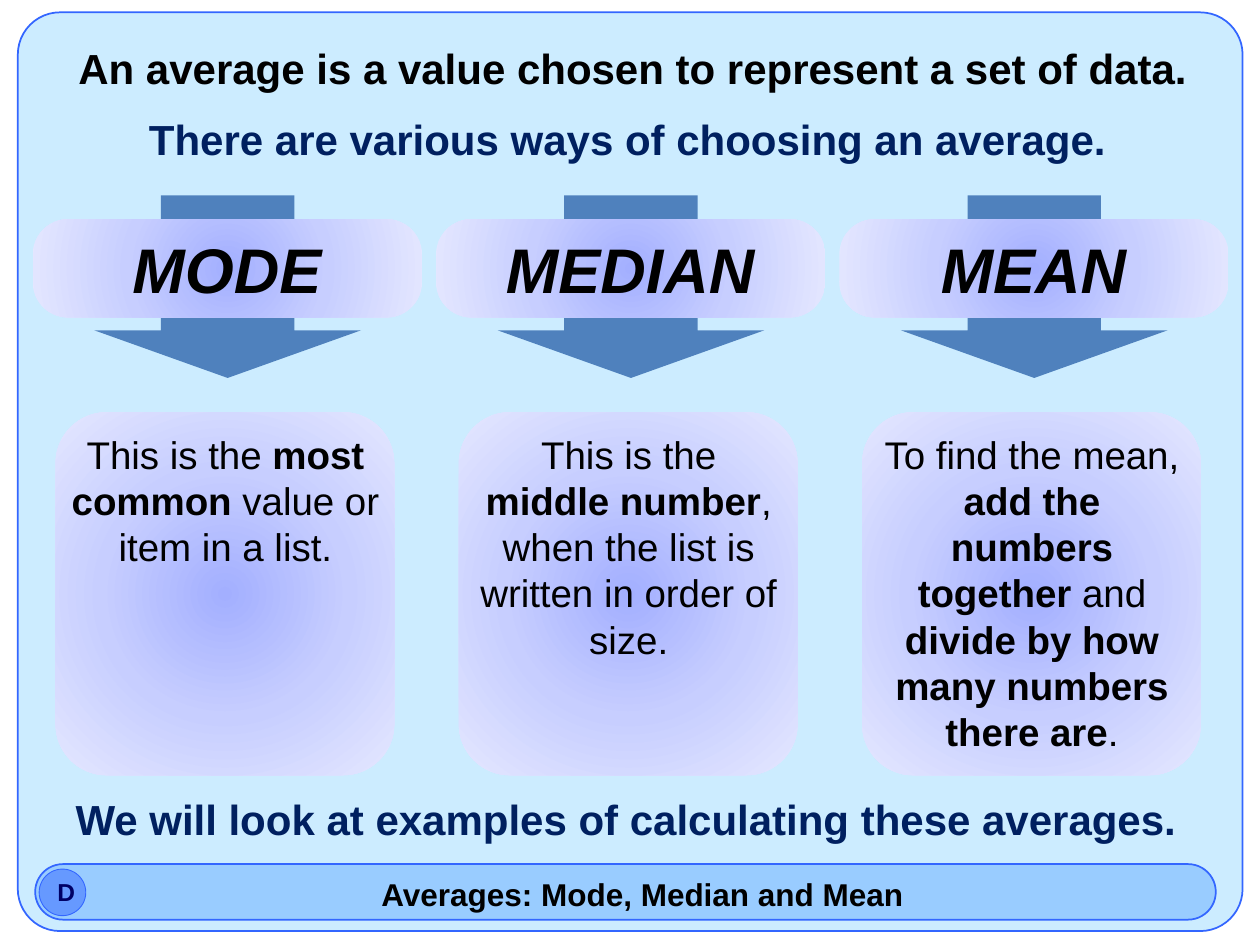
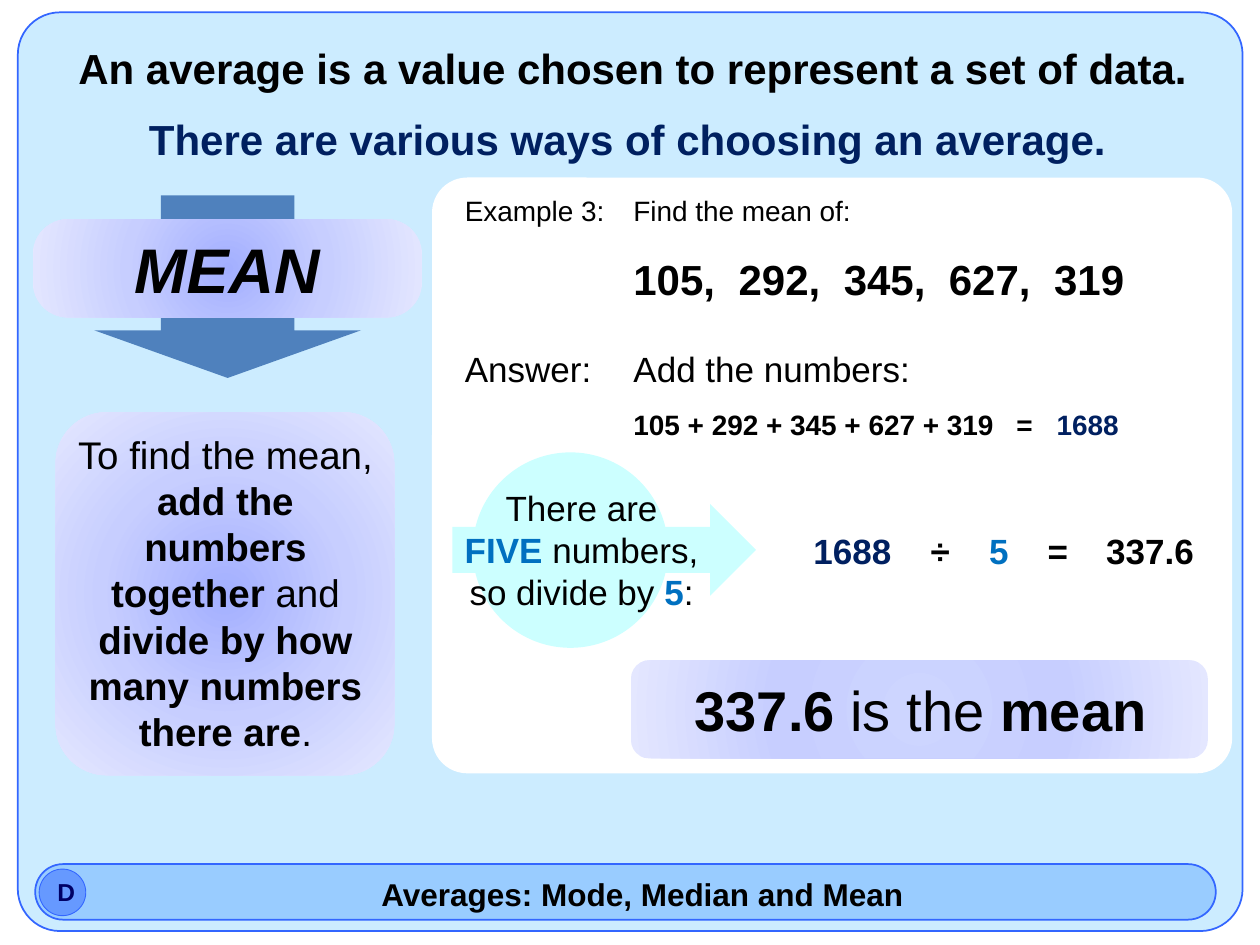
from lxml import etree
from pptx import Presentation
from pptx.dml.color import RGBColor as Rgb
from pptx.enum.shapes import MSO_SHAPE as Shape
from pptx.enum.text import MSO_AUTO_SIZE as AutoSize, PP_ALIGN as Align
from pptx.oxml.ns import qn
from pptx.util import Cm, Pt

FONT = "Arial"
COLORS = {
    "black": "000000", "white": "FFFFFF", "navy": "002060", "blue": "0070C0",
    "page": "CCECFF", "band": "99CCFF", "outline": "3366FF", "badge": "6699FF",
    "badge_text": "000066", "arrow": "4F81BD", "bubble": "CCFFFF",
    "glow": "A3AFFF", "soft_glow": "CDD5FF", "mid": "C7CEFF", "edge": "E4E7FF",
}
COLUMN_LEFT, COLUMN_TOP, COLUMN_STEP = 0.66, 3.94, 8.13
PANEL_BOX = (8.71, 3.58, 16.13, 12.01)
FOOTER_BOX = (0.71, 17.42, 23.8, 1.12)

MODE_TEXT = [("This is the ",), ("most common", True), (" value or item in a list.",)]
MEDIAN_TEXT = [("This is the ",), ("middle number", True),
               (", when the list is written in order of size.",)]
MEAN_TEXT = [("To find the mean, ",), ("add the numbers together ", True), ("and ",),
             ("divide by how many numbers there are", True), (".",)]


def color(name):
    """Return the named colour."""
    return Rgb.from_string(COLORS[name])


def add_shape(slide, kind, box, fill=None, adjust=(), line=0):
    """Add a flat preset shape; box is left, top, width, height in cm."""
    sp = slide.shapes.add_shape(kind, *map(Cm, box))
    sp.shadow.inherit = False
    for i, value in enumerate(adjust):
        sp.adjustments[i] = value
    if fill:
        sp.fill.solid()
        sp.fill.fore_color.rgb = color(fill)
    if line:
        sp.line.color.rgb = color("outline")
        sp.line.width = Pt(line)
    else:
        sp.line.fill.background()
    return sp


def add_glow(slide, box, corner, center="glow"):
    """Add a rounded box with a circular gradient."""
    sp = add_shape(slide, Shape.ROUNDED_RECTANGLE, box, adjust=[corner])
    sp.fill.background()
    grad = etree.Element(qn("a:gradFill"), rotWithShape="1")
    stops = etree.SubElement(grad, qn("a:gsLst"))
    for pos, name in ((0, center), (50000, "mid"), (100000, "edge")):
        stop = etree.SubElement(stops, qn("a:gs"), pos=str(pos))
        etree.SubElement(stop, qn("a:srgbClr"), val=COLORS[name])
    circle = etree.SubElement(grad, qn("a:path"), {"path": "circle"})
    etree.SubElement(circle, qn("a:fillToRect"), {side: "50000" for side in "ltrb"})
    sp_pr = sp.element.spPr
    sp_pr.replace(sp_pr.find(qn("a:noFill")), grad)


def add_text(slide, box, size, *paragraphs, align=Align.CENTER, italic=False, tabs=()):
    """Add a text box whose paragraphs list (text, bold, colour) runs."""
    tf = slide.shapes.add_textbox(*map(Cm, box)).text_frame
    tf.word_wrap = True
    tf.auto_size = AutoSize.SHAPE_TO_FIT_TEXT
    for i, runs in enumerate(paragraphs):
        p = tf.add_paragraph() if i else tf.paragraphs[0]
        p.alignment = align
        if tabs:
            tab_list = etree.SubElement(p._p.get_or_add_pPr(), qn("a:tabLst"))
            for stop in tabs:
                etree.SubElement(tab_list, qn("a:tab"), pos=str(Cm(stop)), algn="l")
        for text, *style in runs:
            bold, name = (*style, *(False, "black")[len(style):])
            r = p.add_run()
            r.text = text
            r.font.name, r.font.size = FONT, Pt(size)
            r.font.bold, r.font.italic = bold, italic
            r.font.color.rgb = color(name)


def add_footer(slide, box):
    """Add the bottom band with its title and round badge."""
    x, y, w, h = box
    add_shape(slide, Shape.ROUNDED_RECTANGLE, box, "band", [0.5], 1)
    add_text(slide, (x + 1.09, y + 0.1, 22.3, 1.02), 18,
             [("Averages: Mode, Median and Mean", True)])
    add_shape(slide, Shape.OVAL, (x + 0.08, y + 0.1, 0.94, 0.94), "badge", line=0.5)
    add_text(slide, (x + 0.2, y + 0.13, 0.71, 0.86), 14, [("D", True, "badge_text")])


def add_page(prs):
    """Add a slide with the frame, headings and footer."""
    slide = prs.slides.add_slide(prs.slide_layouts[6])
    add_shape(slide, Shape.ROUNDED_RECTANGLE, (0.36, 0.25, 24.69, 18.52), "page", [0.046], 1)
    add_text(slide, (0.64, 0.74, 24.23, 1.27), 24,
             [("An average is a value chosen to represent a set of data.", True)])
    add_text(slide, (0.56, 2.16, 24.18, 1.27), 24,
             [("There are various ways of choosing an average.", True, "navy")])
    add_footer(slide, FOOTER_BOX)
    return slide


def add_average(slide, column, name, description):
    """Add an arrow, name plate and description card in a column."""
    x, y = COLUMN_LEFT + column * COLUMN_STEP, COLUMN_TOP
    add_shape(slide, Shape.DOWN_ARROW, (x + 1.24, y, 5.38, 3.68), "arrow", [0.5, 0.261])
    add_glow(slide, (x, y + 0.48, 7.85, 1.98), 0.361)
    add_text(slide, (x + 0.08, y + 0.58, 7.67, 1.8), 36, [(name, True)], italic=True)
    add_glow(slide, (x + 0.46, y + 4.37, 6.83, 7.32), 0.151)
    add_text(slide, (x + 0.53, y + 4.62, 6.71, 6.83), 22, description)


def add_divide_note(slide, x, y):
    """Add the circle and arrow that explain the division."""
    add_shape(slide, Shape.OVAL, (x + 0.41, y, 3.94, 3.94), "bubble")
    add_shape(slide, Shape.RIGHT_ARROW, (x, y + 1.04, 6.12, 1.85), "bubble")
    add_text(slide, (x - 0.05, y + 0.56, 5.31, 2.82), 20,
             [("There are ",), ("FIVE", True, "blue"), (" numbers,",)],
             [("so divide by ",), ("5", True, "blue"), (":",)])


def add_example(slide, box):
    """Add the white panel with the worked example."""
    x, y, w, h = box
    add_shape(slide, Shape.ROUNDED_RECTANGLE, box, "white", [0.059])
    labels, values = x + 0.41, x + 3.81
    numbers = ["105", "292", "345", "627", "319"]
    lines = [
        (labels, 0.2, 16, [("Example 3:",)], ()),
        (values, 0.2, 16, [("Find the mean of:",)], ()),
        (values, 1.4, 24, [(",\t".join(numbers), True)], [2.12 * i for i in range(1, 5)]),
        (labels, 3.3, 20, [("Answer:",)], ()),
        (values, 3.3, 20, [("Add the numbers:",)], ()),
        (values, 4.52, 16, [(" + ".join(numbers) + "\t=\t", True), ("1688", True, "navy")],
         (7.72, 8.53)),
        (x + 7.44, 6.96, 20, [("1688", True, "navy"), ("\t÷\t", True), ("5", True, "blue"),
                              ("\t=\t337.6", True)], [1.18 * i for i in range(2, 6)]),
    ]
    for left, top, size, runs, tabs in lines:
        width = 3.96 if left == labels else x + w - left
        add_text(slide, (left, y + top, width, size * 0.05), size, runs,
                 align=Align.LEFT, tabs=tabs)
    add_divide_note(slide, labels, y + 5.54)
    add_glow(slide, (x + 4.01, y + 9.73, 11.63, 1.98), 0.188, "soft_glow")
    add_text(slide, (x + 4.35, y + 9.91, 11, 1.63), 32,
             [("337.6 ", True), ("is the ",), ("mean", True)])


def build_overview(prs):
    """Build the slide that introduces the three averages."""
    slide = add_page(prs)
    averages = [("MODE", MODE_TEXT), ("MEDIAN", MEDIAN_TEXT), ("MEAN", MEAN_TEXT)]
    for column, (name, description) in enumerate(averages):
        add_average(slide, column, name, description)
    add_text(slide, (0.53, 15.88, 24.18, 1.27), 24,
             [("We will look at examples of calculating these averages.", True, "navy")])


def build_mean_example(prs):
    """Build the slide with a worked example of the mean."""
    slide = add_page(prs)
    add_average(slide, 0, "MEAN", MEAN_TEXT)
    add_example(slide, PANEL_BOX)


def main():
    """Build and save the presentation."""
    prs = Presentation()
    prs.slide_width, prs.slide_height = Cm(25.4), Cm(19.05)
    build_overview(prs)
    build_mean_example(prs)
    prs.save("out.pptx")


if __name__ == "__main__":
    main()
